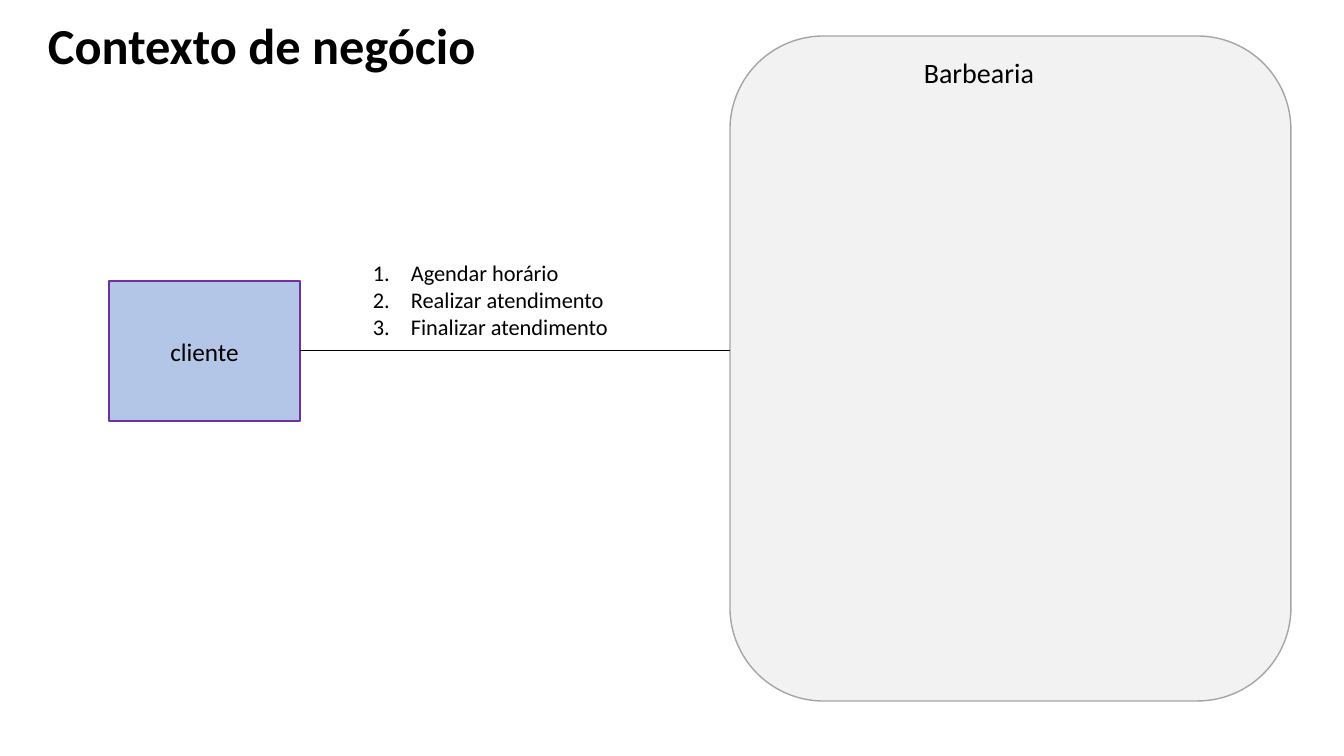
from lxml import etree
from pptx import Presentation
from pptx import util as u
from pptx.dml.color import RGBColor
from pptx.enum import shapes, text
from pptx.oxml.ns import qn

EMU_PER_PIXEL = 914400 / 100.8
FONT = "Calibri"
BLACK = "000000"


def px(pixels):
    """Turn pixels into EMU."""
    return u.Emu(round(pixels * EMU_PER_PIXEL))


def color(hex_string):
    """Turn a hex string into a colour."""
    return RGBColor.from_string(hex_string)


def set_line(shape, hex_string, width):
    """Give a shape or connector a solid line."""
    shape.line.color.rgb = color(hex_string)
    shape.line.width = u.Pt(width)


def write(shape, lines, align=text.PP_ALIGN.LEFT, **font_format):
    """Write one paragraph per line and return the paragraphs."""
    frame = shape.text_frame
    frame.word_wrap = True
    frame.text = "\n".join(lines)
    for paragraph in frame.paragraphs:
        paragraph.alignment = align
        paragraph.font.color.rgb = color(BLACK)
        for name, value in {"name": FONT, **font_format}.items():
            setattr(paragraph.font, name, value)
    return frame.paragraphs


def add_box(slide, kind, bounds, fill, line):
    """Add a filled preset shape with a one-point outline."""
    shape = slide.shapes.add_shape(kind, *map(px, bounds))
    shape.shadow.inherit = False
    shape.fill.solid()
    shape.fill.fore_color.rgb = color(fill)
    set_line(shape, line, 1)
    return shape


def add_text(slide, bounds, lines, **font_format):
    """Add a wrapping text box and return its paragraphs."""
    shape = slide.shapes.add_textbox(*map(px, bounds))
    return write(shape, lines, **font_format)


def number(paragraphs, indent):
    """Number paragraphs with a hanging indent."""
    for paragraph in paragraphs:
        properties = paragraph._p.get_or_add_pPr()
        properties.set("marL", str(px(indent)))
        properties.set("indent", str(-px(indent)))
        etree.SubElement(properties, qn("a:buFont"), typeface="+mj-lt")
        etree.SubElement(properties, qn("a:buAutoNum"), type="arabicPeriod")


def add_link(slide, start, end):
    """Join the right side of one shape to the left side of another."""
    connector = slide.shapes.add_connector(
        shapes.MSO_CONNECTOR.STRAIGHT,
        start.left + start.width, start.top + start.height // 2,
        end.left, start.top + start.height // 2)
    set_line(connector, BLACK, 0.75)
    etree.SubElement(connector._element.spPr, qn("a:effectLst"))


def main():
    """Build the business context slide."""
    presentation = Presentation()
    presentation.slide_width = px(1344)
    presentation.slide_height = px(756)
    slide = presentation.slides.add_slide(presentation.slide_layouts[6])

    barbershop = add_box(slide, shapes.MSO_SHAPE.ROUNDED_RECTANGLE,
                         (730, 36, 561, 665), "F2F2F2", "A5A5A5")
    client = add_box(slide, shapes.MSO_SHAPE.RECTANGLE,
                     (109, 281, 191, 140), "B3C6E7", "7030A0")
    write(client, ["cliente"], text.PP_ALIGN.CENTER, size=u.Pt(18))
    add_link(slide, client, barbershop)

    add_text(slide, (914, 51, 229, 44), ["Barbearia"], size=u.Pt(20))
    add_text(slide, (38, 9, 455, 72), ["Contexto de negócio"],
             size=u.Pt(36), bold=True)
    steps = add_text(slide, (363, 254, 382, 231),
                     ["Agendar horário", "Realizar atendimento",
                      "Finalizar atendimento"], size=u.Pt(16))
    number(steps, 38)
    presentation.save("out.pptx")


main()
